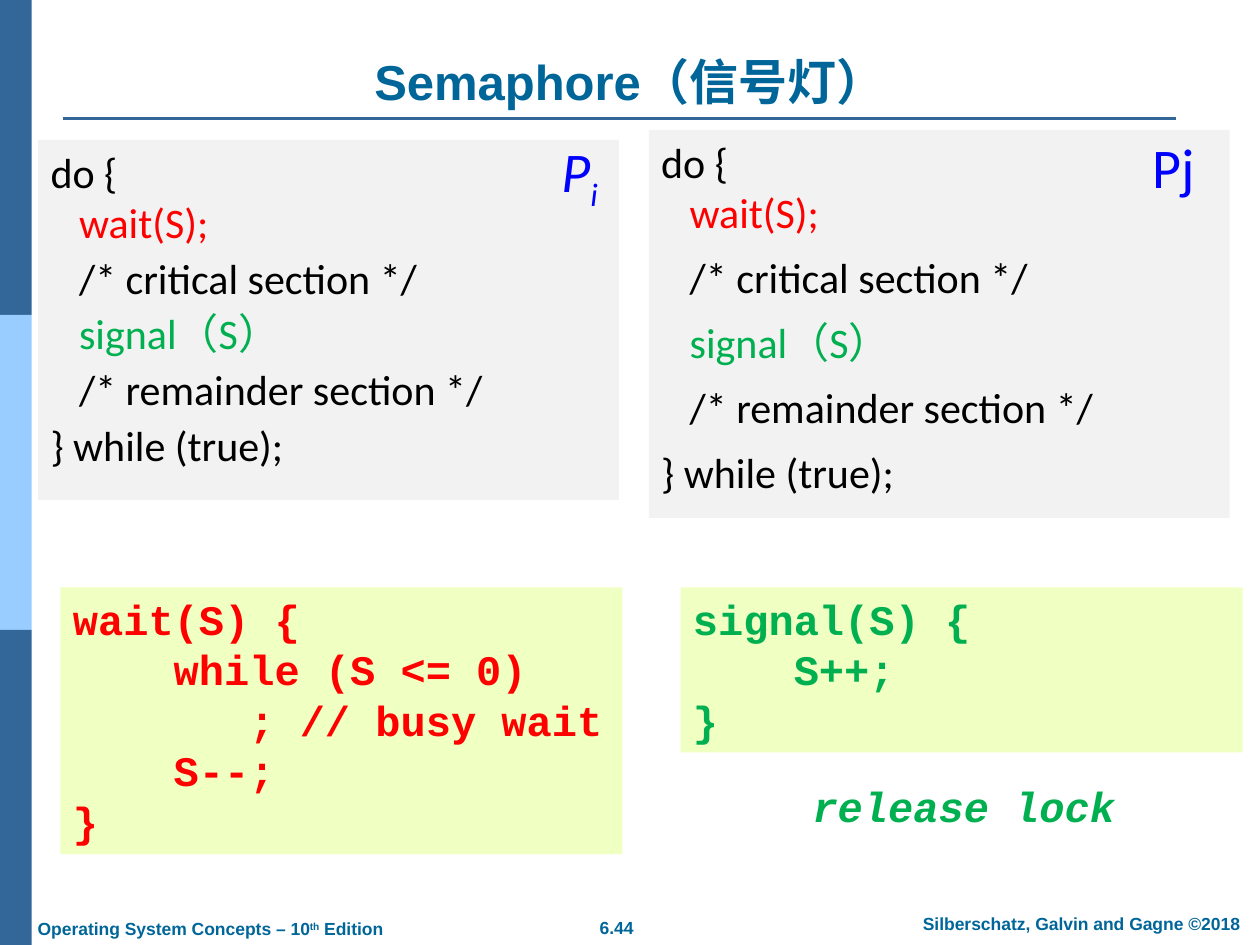
"""Build the semaphore slide with its two processes and the wait and signal code."""
from lxml import etree
from pptx import Presentation
from pptx.dml.color import RGBColor
from pptx.enum.shapes import MSO_CONNECTOR, MSO_SHAPE
from pptx.enum.text import MSO_ANCHOR, PP_ALIGN
from pptx.oxml.ns import qn
from pptx.util import Cm, Pt

RECTANGLE = MSO_SHAPE.RECTANGLE
STRAIGHT = MSO_CONNECTOR.STRAIGHT
LEFT, CENTER = PP_ALIGN.LEFT, PP_ALIGN.CENTER
TOP, BOTTOM = MSO_ANCHOR.TOP, MSO_ANCHOR.BOTTOM
COLORS = {
    "bar": "336699", "light bar": "99CCFF", "heading": "006699",
    "panel": "F2F2F2", "code": "F0FFC2", "black": "000000",
    "red": "FF0000", "green": "00B050", "blue": "0000FF",
}


def add_block(place, fill=None):
    left, top, width, height = [Cm(length) for length in place]
    if fill is None:
        return page.shapes.add_textbox(left, top, width, height)
    block = page.shapes.add_shape(RECTANGLE, left, top, width, height)
    block.shadow.inherit = False
    block.fill.solid()
    block.fill.fore_color.rgb = RGBColor.from_string(COLORS[fill])
    block.line.fill.background()
    return block


def write(box, lines, font, size, bold=False, italic=False, align=LEFT,
          anchor=TOP, wrap=True, gap=0, spacing=1):
    frame = box.text_frame
    frame.word_wrap = wrap
    frame.vertical_anchor = anchor
    for index, line in enumerate(lines):
        para = frame.paragraphs[0] if index == 0 else frame.add_paragraph()
        para.alignment = align
        para.line_spacing = spacing
        para.space_before = Pt(gap if index else 0)
        for text, color, *baseline in line:
            if text == "\n":
                para.add_line_break()
                continue
            span = para.add_run()
            span.text = text
            span.font.name = font
            span.font.size = Pt(size)
            span.font.bold = bold
            span.font.italic = italic
            span.font.color.rgb = RGBColor.from_string(COLORS[color])
            for percent in baseline:
                span.font._element.set("baseline", str(percent * 1000))


deck = Presentation()
deck.slide_width, deck.slide_height = Cm(25.4), Cm(19.05)
page = deck.slides.add_slide(deck.slide_layouts[6])

for index, color in enumerate(["bar", "light bar", "bar"]):
    add_block((0, index * 6.35, 0.64, 6.35), color)

rule = page.shapes.add_connector(STRAIGHT, Cm(1.27), Cm(2.39), Cm(23.7), Cm(2.39))
rule.line.color.rgb = RGBColor.from_string(COLORS["bar"])
rule.line.width = Pt(1.5)
etree.SubElement(rule._element.spPr, qn("a:effectLst"))

footers = [
    ((11.81, 18.36, 1.24, 0.69), CENTER, False, [("6.44", "heading")]),
    ((18.03, 18.29, 7.54, 0.69), CENTER, True,
     [("Silberschatz, Galvin and Gagne ©2018", "heading")]),
    ((0.51, 18.39, 7.59, 0.69), LEFT, False,
     [("Operating System Concepts – 10", "heading"), ("th", "heading", 30),
      (" Edition", "heading")]),
]
for place, align, wrap, line in footers:
    write(add_block(place), [line], "Arial", 10, bold=True, align=align, wrap=wrap)

process = [
    [("do {", "black"), ("\n", "black"), ("   ", "black"), ("wait(S);", "red")],
    [("   /* critical section */", "black")],
    [("   ", "red"), ("signal（S）", "green")],
    [("   /* remainder section */", "black")],
    [("} while (true);", "black")],
]
panels = [
    ((0.77, 2.82, 11.71, 7.26), 3, (11.07, 2.62, 1.4, 1.63), True,
     [("P", "blue"), ("i", "blue", -25)]),
    ((13.08, 2.62, 11.71, 7.82), 8.4, (22.99, 2.54, 1.6, 1.63), False,
     [("Pj", "blue")]),
]
for place, gap, label_place, italic, label in panels:
    write(add_block(place, "panel"), process, "Calibri", 24, gap=gap)
    write(add_block(label_place), [label], "Calibri", 32, italic=italic)

write(add_block((1.27, 0.76, 22.86, 1.6)), [[("Semaphore（信号灯）", "heading")]],
      "Arial", 28, bold=True, align=CENTER, anchor=BOTTOM)

listings = [
    ((1.22, 11.84, 11.33, 5.38), "red",
     ["wait(S) {", "    while (S <= 0)", "       ; // busy wait", "    S--;", "}"]),
    ((13.72, 11.84, 11.33, 3.33), "green", ["signal(S) {", "    S++;", "}"]),
]
for place, color, code in listings:
    write(add_block(place, "code"), [[(text, color)] for text in code],
          "Courier New", 24, bold=True)

write(add_block((16.13, 15.11, 7.42, 1.68)), [[("release lock", "green")]],
      "Courier New", 24, bold=True, italic=True, spacing=1.5)

deck.save("out.pptx")
